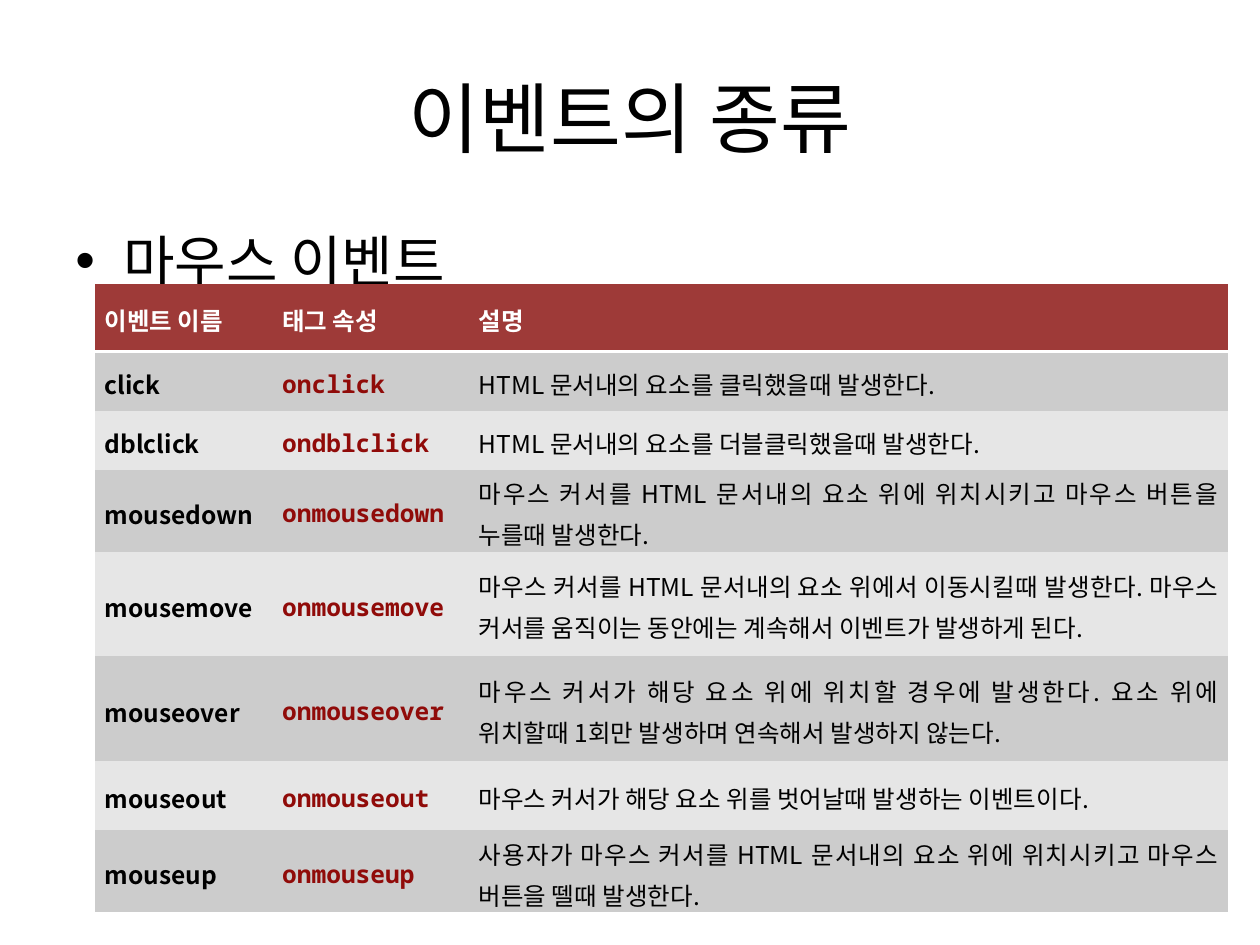
from dataclasses import dataclass
from typing import NamedTuple

from lxml import etree
from pptx import Presentation
from pptx.dml.color import RGBColor
from pptx.enum.text import MSO_ANCHOR, PP_ALIGN
from pptx.oxml.ns import qn
from pptx.util import Inches, Pt

MIDDLE, TOP = MSO_ANCHOR.MIDDLE, MSO_ANCHOR.TOP
LEFT, CENTER, JUSTIFY = PP_ALIGN.LEFT, PP_ALIGN.CENTER, PP_ALIGN.JUSTIFY
SLIDE_WIDTH, SLIDE_HEIGHT = Inches(10), Inches(7.5)
PLAIN_TABLE_STYLE = "{2D5ABB26-0587-4C30-8999-92F81FD0307C}"
COLUMN_WIDTHS = (1.41, 1.56, 6.03)
HEADER_HEIGHT = 0.54
HEADINGS = ("이벤트 이름", "태그 속성", "설명")


@dataclass(frozen=True)
class Theme:
    sans: str = "Noto Sans CJK KR"
    mono: str = "Noto Sans Mono"
    ink: str = "000000"
    white: str = "FFFFFF"
    header: str = "9E3A38"
    code: str = "900B09"
    bands: tuple[str, str] = ("CCCCCC", "E6E6E6")
    title_size: int = 44
    body_size: int = 32
    table_size: int = 14
    rule_width: float = 1.5


class Area(NamedTuple):
    left: float
    top: float
    width: float
    height: float

    def lengths(self) -> tuple[int, int, int, int]:
        return (round(SLIDE_WIDTH * self.left), round(SLIDE_HEIGHT * self.top),
                round(SLIDE_WIDTH * self.width), round(SLIDE_HEIGHT * self.height))


class MouseEvent(NamedTuple):
    name: str
    description: str
    height: float


THEME = Theme()
TITLE_AREA = Area(0.05, 0.04, 0.9, 1 / 6)
BODY_AREA = Area(0.05, 7 / 30, 0.9, 0.66)
TABLE_AREA = Area(0.075, 0.3, 0.9, 2 / 3)
EVENTS = (
    MouseEvent("click", "HTML 문서내의 요소를 클릭했을때 발생한다.", 0.47),
    MouseEvent("dblclick", "HTML 문서내의 요소를 더블클릭했을때 발생한다.", 0.47),
    MouseEvent("mousedown", "마우스 커서를 HTML 문서내의 요소 위에 위치시키고 "
               "마우스 버튼을 누를때 발생한다.", 0.65),
    MouseEvent("mousemove", "마우스 커서를 HTML 문서내의 요소 위에서 이동시킬때 발생한다. "
               "마우스 커서를 움직이는 동안에는 계속해서 이벤트가 발생하게 된다.", 0.83),
    MouseEvent("mouseover", "마우스 커서가 해당 요소 위에 위치할 경우에 발생한다. "
               "요소 위에 위치할때 1회만 발생하며 연속해서 발생하지 않는다.", 0.83),
    MouseEvent("mouseout", "마우스 커서가 해당 요소 위를 벗어날때 발생하는 이벤트이다.", 0.55),
    MouseEvent("mouseup", "사용자가 마우스 커서를 HTML 문서내의 요소 위에 위치시키고 "
               "마우스 버튼을 뗄때 발생한다.", 0.65),
)


def write(frame, text: str, *, size: float, color: str = THEME.ink,
          font: str = THEME.sans, bold: bool = False, align=LEFT,
          spacing: float = 1.0):
    para = frame.paragraphs[0]
    para.alignment = align
    para.line_spacing = spacing
    span = para.add_run()
    span.text = text
    span.font.name = font
    span.font.size = Pt(size)
    span.font.bold = bold
    span.font.color.rgb = RGBColor.from_string(color)
    latin = span.font._element.find(qn("a:latin"))
    east_asian = etree.Element(qn("a:ea"), typeface=font)
    latin.addnext(east_asian)
    return para


def add_text(page, area: Area, text: str, *, anchor=TOP, **style):
    box = page.shapes.add_textbox(*area.lengths())
    box.text_frame.word_wrap = True
    box.text_frame.vertical_anchor = anchor
    return write(box.text_frame, text, **style)


def add_bullet(para, indent: float) -> None:
    properties = para._p.get_or_add_pPr()
    properties.set("marL", str(Inches(indent)))
    properties.set("indent", str(-Inches(indent)))
    etree.SubElement(properties, qn("a:buFont"), typeface="Arial")
    etree.SubElement(properties, qn("a:buChar"), char="•")


def add_bottom_rule(cell) -> None:
    line = etree.Element(qn("a:lnB"), w=str(Pt(THEME.rule_width)))
    fill = etree.SubElement(line, qn("a:solidFill"))
    etree.SubElement(fill, qn("a:srgbClr"), val=THEME.white)
    cell._tc.get_or_add_tcPr().insert(0, line)


def fill_cell(cell, text: str, fill: str, **style) -> None:
    cell.margin_left = cell.margin_right = Inches(0.08)
    cell.margin_top = cell.margin_bottom = 0
    cell.vertical_anchor = MIDDLE
    cell.fill.solid()
    cell.fill.fore_color.rgb = RGBColor.from_string(fill)
    write(cell.text_frame, text, size=THEME.table_size, align=JUSTIFY,
          spacing=1.15, **style)


def add_event_table(page) -> None:
    table = page.shapes.add_table(len(EVENTS) + 1, len(HEADINGS),
                                  *TABLE_AREA.lengths()).table
    table._tbl.tblPr.find(qn("a:tableStyleId")).text = PLAIN_TABLE_STYLE
    for column, width in zip(table.columns, COLUMN_WIDTHS):
        column.width = Inches(width)
    heights = (HEADER_HEIGHT, *(event.height for event in EVENTS))
    for row, height in zip(table.rows, heights):
        row.height = Inches(height)

    for cell, heading in zip(table.rows[0].cells, HEADINGS):
        fill_cell(cell, heading, THEME.header, color=THEME.white, bold=True)
        add_bottom_rule(cell)
    for index, event in enumerate(EVENTS):
        name, attribute, description = table.rows[index + 1].cells
        band = THEME.bands[index % 2]
        fill_cell(name, event.name, band, bold=True)
        fill_cell(attribute, f"on{event.name}", band, bold=True,
                  font=THEME.mono, color=THEME.code)
        fill_cell(description, event.description, band)


def main() -> None:
    deck = Presentation()
    deck.slide_width, deck.slide_height = SLIDE_WIDTH, SLIDE_HEIGHT
    page = deck.slides.add_slide(deck.slide_layouts[6])
    add_text(page, TITLE_AREA, "이벤트의 종류", size=THEME.title_size,
             align=CENTER, anchor=MIDDLE)
    topic = add_text(page, BODY_AREA, "마우스 이벤트", size=THEME.body_size)
    add_bullet(topic, 0.38)
    add_event_table(page)
    deck.save("out.pptx")


if __name__ == "__main__":
    main()
